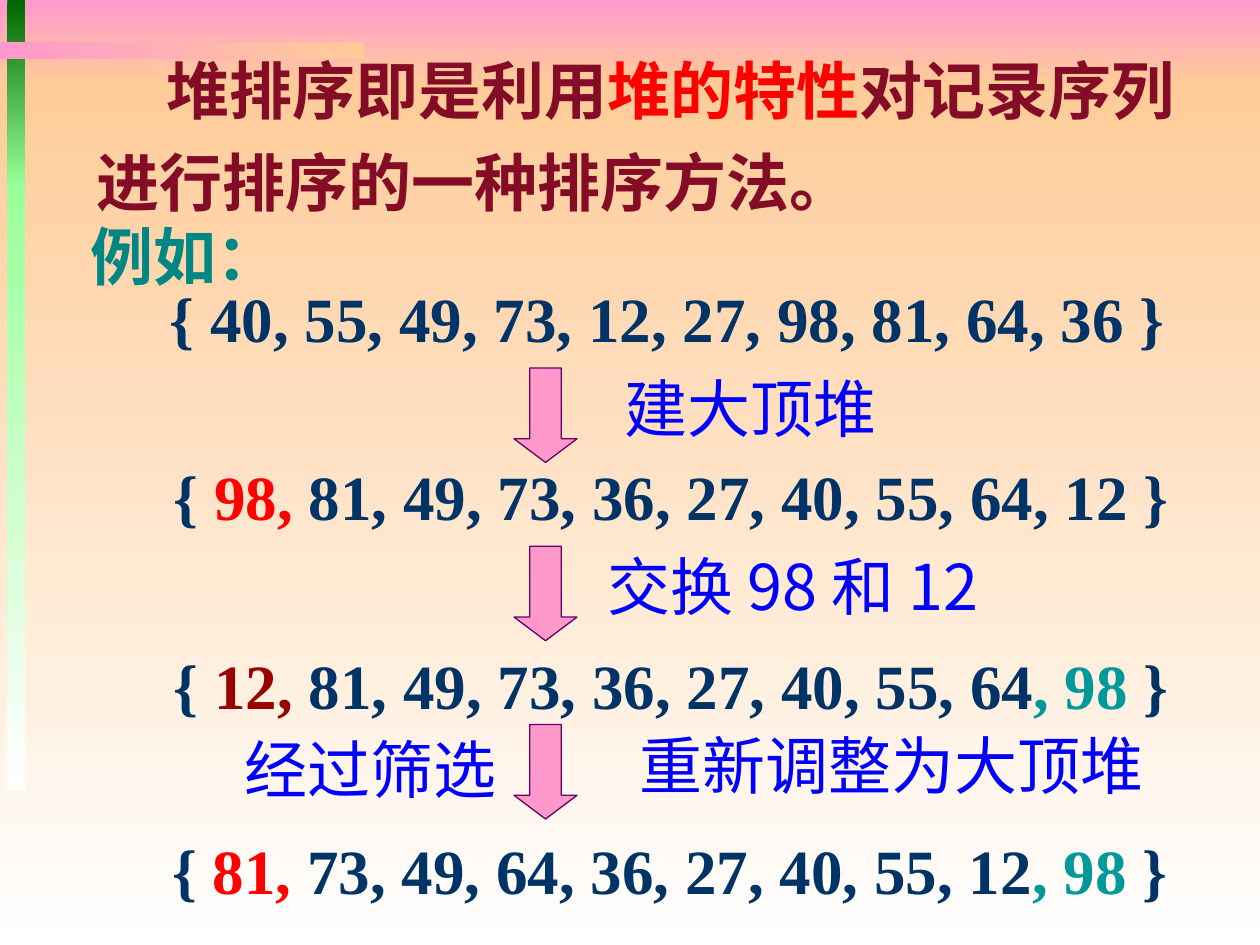
from pptx import Presentation
from pptx.dml.color import RGBColor
from pptx.enum.shapes import MSO_SHAPE
from pptx.oxml.ns import qn
from pptx.util import Inches, Pt
from lxml import etree

PINK, PEACH, WHITE = "FF99CC", "FFCC99", "FFFFFF"
LIME, NAVY, BLUE = "99FF99", "003366", "0000FF"
RED, WINE, TEAL = "FF0000", "840C26", "009999"
SERIF, SANS = "Times New Roman", "Noto Sans CJK SC"


def color(code):
    return RGBColor.from_string(code)


def add_shape(slide, kind, box):
    shape = slide.shapes.add_shape(kind, *map(Inches, box))
    shape.shadow.inherit = False
    return shape


def add_band(slide, box, first, last, angle=270):
    band = add_shape(slide, MSO_SHAPE.RECTANGLE, box)
    band.line.fill.background()
    band.fill.gradient()
    band.fill.gradient_angle = angle
    for stop, code in zip(band.fill.gradient_stops, (first, last)):
        stop.color.rgb = color(code)
    for stop, place in zip(band.fill.gradient_stops, (0, 1)):
        stop.position = place


def add_text(slide, box, runs, bold=False, wrap=False, spacing=1.0, face=SERIF):
    """Runs are (text, colour) pairs, with an optional size."""
    frame = slide.shapes.add_textbox(*map(Inches, box)).text_frame
    frame.word_wrap = wrap
    para = frame.paragraphs[0]
    para.line_spacing = spacing
    for text, code, *size in runs:
        run = para.add_run()
        run.text = text
        style = {"size": Pt(size[0] if size else 36), "bold": bold, "name": face}
        for key, value in style.items():
            setattr(run.font, key, value)
        run.font.color.rgb = color(code)
        # Chinese characters take the East Asian font
        east = etree.SubElement(run.font._element, qn("a:ea"))
        east.set("typeface", SANS)


def add_backdrop(slide):
    add_band(slide, (0, 0, 10, 0.67), PINK, PEACH)
    add_band(slide, (0, 0.67, 10, 6.83), PEACH, WHITE)
    add_band(slide, (0.06, 0, 0.14, 1.48), "006600", LIME)
    add_band(slide, (0.06, 1.46, 0.14, 4.81), LIME, WHITE)
    add_band(slide, (0, 0.33, 2.89, 0.14), PINK, PEACH, 0)


def add_intro(slide):
    add_text(slide, (0.67, 0.17, 9.08, 1.62), [
        ("\u3000".strip() or "　", "000080", 40),
        ("堆排序即是利用", WINE),
        ("堆的特性", RED),
        ("对记录序列进行排序的一种排序方法。", WINE),
    ], bold=True, wrap=True, spacing=1.2)
    add_text(slide, (0.62, 1.56, 1.7, 0.82), [("例如：", "008784")],
             bold=True, spacing=1.2)


def add_arrow(slide, left, top):
    arrow = add_shape(slide, MSO_SHAPE.DOWN_ARROW, (left, top, 0.5, 0.75))
    arrow.adjustments[0] = 0.5
    arrow.adjustments[1] = 0.375
    arrow.fill.solid()
    arrow.fill.fore_color.rgb = color(PINK)
    arrow.line.color.rgb = color("660066")
    arrow.line.width = Pt(0.75)


def add_steps(slide):
    # Number sequences
    rows = [
        (1.25, 2.17, [("{ 40, 55, 49, 73, 12, 27, 98, 81, 64, 36 }", NAVY)]),
        (1.28, 3.58, [("{ ", NAVY), ("98,", RED),
                      (" 81, 49, 73, 36, 27, 40, 55, 64, 12 }", NAVY)]),
        (1.28, 5.08, [("{ ", NAVY), ("12,", "990000"),
                      (" 81, 49, 73, 36, 27, 40, 55, 64", NAVY),
                      (", 98", TEAL), (" }", NAVY)]),
        (1.27, 6.55, [("{ ", NAVY), ("81,", RED),
                      (" 73, 49, 64, 36, 27, 40, 55, 12", NAVY),
                      (", 98", TEAL), (" }", NAVY)]),
    ]
    for left, top, runs in rows:
        add_text(slide, (left, top, 8.14, 0.7), runs, bold=True)

    # Arrows between the sequences
    for step in range(3):
        add_arrow(slide, 4.08, 2.92 + step * 1.415)

    # Notes beside the arrows
    notes = [
        ((4.86, 2.88, 2.31, 0.7), "建大顶堆", SERIF),
        ((4.72, 4.3, 3.81, 0.7), "交换 98 和 12", SANS),
        ((4.98, 5.72, 4.2, 0.7), "重新调整为大顶堆", SERIF),
        ((1.84, 5.75, 2.2, 0.7), "经过筛选", SERIF),
    ]
    for box, text, face in notes:
        add_text(slide, box, [(text, BLUE)], face=face)


def main():
    deck = Presentation()
    deck.slide_width, deck.slide_height = Inches(10), Inches(7.5)
    slide = deck.slides.add_slide(deck.slide_layouts[6])
    add_backdrop(slide)
    add_intro(slide)
    add_steps(slide)
    deck.save("out.pptx")


if __name__ == "__main__":
    main()
